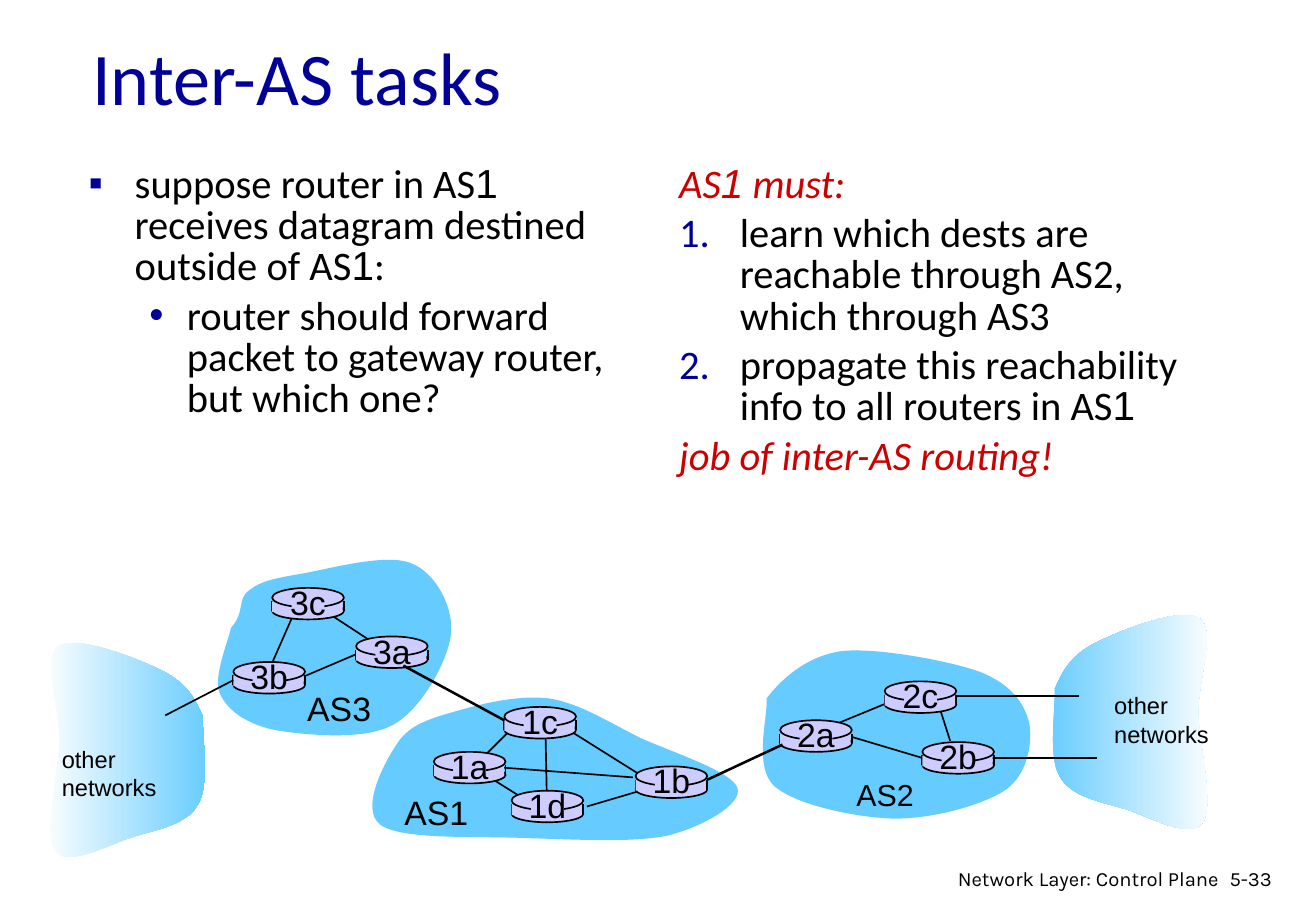
"""Build a slide on inter-AS routing tasks, with a diagram of three autonomous systems."""
import lxml.etree
import pptx
import pptx.dml.color
import pptx.enum.shapes
import pptx.enum.text
import pptx.oxml.ns
import pptx.util

Inches = pptx.util.Inches
RGBColor = pptx.dml.color.RGBColor
MSO_SHAPE = pptx.enum.shapes.MSO_SHAPE
PP_ALIGN = pptx.enum.text.PP_ALIGN
qn = pptx.oxml.ns.qn

NAVY = RGBColor(0x00, 0x00, 0x99)
RED = RGBColor(0xCC, 0x00, 0x00)
BLACK = RGBColor(0x00, 0x00, 0x00)
WHITE = RGBColor(0xFF, 0xFF, 0xFF)
SKY = RGBColor(0x66, 0xCC, 0xFF)
LAVENDER = RGBColor(0xCC, 0xCC, 0xFF)

AS1_OUTLINE = [
    (3.27, 6.12), (3.37, 5.96), (3.56, 5.91), (3.77, 5.85), (3.98, 5.79), (4.27, 5.72), (4.52, 5.75),
    (4.77, 5.79), (5, 5.94), (5.26, 6.07), (5.52, 6.19), (6.03, 6.35), (6.07, 6.49),
    (6.11, 6.62), (5.78, 6.81), (5.49, 6.88), (5.2, 6.94), (4.72, 6.91), (4.33, 6.9),
    (3.94, 6.88), (3.31, 6.92), (3.13, 6.79), (2.96, 6.66), (3.16, 6.28), (3.27, 6.12)]
AS2_OUTLINE = [
    (6.31, 5.75), (6.43, 5.59), (6.64, 5.4), (6.93, 5.36), (7.22, 5.33), (7.81, 5.44), (8.06, 5.53),
    (8.32, 5.63), (8.43, 5.79), (8.47, 5.95), (8.5, 6.11), (8.46, 6.37), (8.28, 6.5),
    (8.09, 6.63), (7.68, 6.74), (7.36, 6.74), (7.04, 6.73), (6.55, 6.63), (6.37, 6.47),
    (6.2, 6.31), (6.32, 5.9), (6.31, 5.75)]
AS3_OUTLINE = [
    (1.9, 5.17), (2.02, 5.04), (1.95, 4.93), (2.05, 4.86), (2.15, 4.78), (2.27, 4.76), (2.5, 4.72),
    (2.72, 4.68), (3.19, 4.55), (3.39, 4.64), (3.59, 4.72), (3.74, 5.01), (3.71, 5.23),
    (3.68, 5.45), (3.47, 5.84), (3.23, 5.97), (2.99, 6.1), (2.5, 6.05), (2.26, 6.01),
    (2.03, 5.96), (1.87, 5.85), (1.81, 5.71), (1.75, 5.57), (1.88, 5.28), (1.9, 5.17)]
RIGHT_OUTLINE = [
    (8.68, 5.67), (8.75, 5.51), (8.82, 5.39), (9.02, 5.29), (9.22, 5.19), (9.73, 4.99), (9.87, 5.09),
    (10.01, 5.18), (9.86, 5.59), (9.86, 5.87), (9.87, 6.16), (10, 6.65), (9.89, 6.78),
    (9.79, 6.91), (9.45, 6.72), (9.26, 6.66), (9.06, 6.6), (8.81, 6.56), (8.72, 6.39),
    (8.62, 6.23), (8.69, 5.82), (8.68, 5.67)]
LEFT_OUTLINE = [(10.35 - x, y + 0.23) for x, y in RIGHT_OUTLINE]

ROUTERS = {
    "3b": (1.92, 5.45), "3c": (2.24, 4.84), "3a": (2.93, 5.24),
    "1c": (4.15, 5.82), "1a": (3.57, 6.19), "1d": (4.21, 6.51), "1b": (5.23, 6.31),
    "2a": (6.42, 5.93), "2c": (7.28, 5.61), "2b": (7.59, 6.11)}
INNER_LINKS = [
    (2.5, 5.57, 2.97, 5.37, 1), (3.04, 5.27, 2.75, 5.08, 1), (2.41, 5.07, 2.23, 5.48, 1),
    (4.19, 6.02, 4.01, 6.2, 1), (4.49, 6.06, 4.5, 6.56, 1), (4.68, 6.01, 5.27, 6.38, 1),
    (5.27, 6.51, 4.83, 6.64, 1), (5.21, 6.4, 4.14, 6.32, 1), (4.03, 6.4, 4.27, 6.55, 1),
    (6.81, 5.99, 7.32, 5.78, 1), (7.02, 6.07, 7.59, 6.24, 1), (7.74, 5.85, 7.82, 6.1, 1),
    (7.86, 5.73, 8.88, 5.73, 0.75), (8.16, 6.24, 9.03, 6.24, 0.75)]
OUTER_LINKS = [
    (1.92, 5.6, 1.36, 5.89, 1), (5.82, 6.42, 6.44, 6.13, 1.5), (3.32, 5.48, 4.15, 5.93, 1.5)]


def add_runs(paragraph, runs, size, font, color, italic=False):
    """Add (text, font) pairs or plain strings to a paragraph, run by run."""
    for item in runs:
        text, name = item if isinstance(item, tuple) else (item, font)
        run = paragraph.add_run()
        run.text = text
        run.font.name = name
        run.font.size = pptx.util.Pt(size)
        run.font.color.rgb = color
        run.font.italic = italic


def add_text(parent, box, lines, size, font="Arial", color=BLACK, align=PP_ALIGN.LEFT, wrap=False):
    """Place a text box with one paragraph per line and return its frame."""
    frame = parent.shapes.add_textbox(*map(Inches, box)).text_frame
    frame.word_wrap = wrap
    for index, line in enumerate(lines):
        paragraph = frame.paragraphs[0] if index == 0 else frame.add_paragraph()
        paragraph.alignment = align
        add_runs(paragraph, [line], size, font, color)
    return frame


def add_column(slide, box, items):
    """Place a column of (runs, level, indent, hanging, bullet, emphasis) paragraphs."""
    frame = add_text(slide, box, [], 24, wrap=True)
    for index, (runs, level, indent, hanging, bullet, emphasis) in enumerate(items):
        paragraph = frame.paragraphs[0] if index == 0 else frame.add_paragraph()
        paragraph.level = level
        paragraph.line_spacing = 0.85
        paragraph.space_before = pptx.util.Pt(4.8)
        add_runs(paragraph, runs, 24, "Calibri", RED if emphasis else BLACK, emphasis)
        properties = paragraph._p.get_or_add_pPr()
        properties.set("marL", str(Inches(indent)))
        properties.set("indent", str(Inches(-hanging)))
        if bullet:
            color = lxml.etree.SubElement(properties, qn("a:buClr"))
            lxml.etree.SubElement(color, qn("a:srgbClr"), val=str(NAVY))
        if bullet == "number":
            lxml.etree.SubElement(properties, qn("a:buAutoNum"), type="arabicPeriod")
        elif bullet:
            lxml.etree.SubElement(properties, qn("a:buFont"), typeface="Arial")
            lxml.etree.SubElement(properties, qn("a:buChar"), char=bullet)
        else:
            lxml.etree.SubElement(properties, qn("a:buNone"))


def add_cloud(slide, outline, gradient=None):
    """Draw a closed outline of cubic curves, filled plain or with a gradient."""
    points = [(Inches(x), Inches(y)) for x, y in outline]
    builder = slide.shapes.build_freeform(*points[0])
    builder.add_line_segments(points[1:], close=True)
    shape = builder.convert_to_shape()
    segments = list(shape._element.iter(qn("a:lnTo")))
    for first in range(0, len(segments), 3):
        curve = lxml.etree.Element(qn("a:cubicBezTo"))
        segments[first].addprevious(curve)
        for segment in segments[first:first + 3]:
            curve.append(segment[0])
            segment.getparent().remove(segment)
    shape.shadow.inherit = False
    shape.line.fill.background()
    if gradient:
        shape.fill.gradient()
        shape.fill.gradient_angle = 0
        for stop, color, position in zip(shape.fill.gradient_stops, gradient, (0, 1)):
            stop.color.rgb = color
            stop.position = position
    else:
        shape.fill.solid()
        shape.fill.fore_color.rgb = SKY


def add_link(parent, x1, y1, x2, y2, width):
    """Draw a straight black line."""
    line = parent.shapes.add_connector(pptx.enum.shapes.MSO_CONNECTOR.STRAIGHT,
                                       *map(Inches, (x1, y1, x2, y2)))
    line.line.color.rgb = BLACK
    line.line.width = pptx.util.Pt(width)
    lxml.etree.SubElement(line._element.spPr, qn("a:effectLst"))


def add_part(parent, kind, box, outlined):
    """Draw one lavender piece of a router."""
    shape = parent.shapes.add_shape(kind, *map(Inches, box))
    shape.shadow.inherit = False
    shape.fill.solid()
    shape.fill.fore_color.rgb = LAVENDER
    if outlined:
        shape.line.color.rgb = BLACK
        shape.line.width = pptx.util.Pt(1)
    else:
        shape.line.fill.background()


def add_router(slide, name, x, y):
    """Draw a grouped, labelled router disc with its top left corner at x, y."""
    router = slide.shapes.add_group_shape()
    add_part(router, MSO_SHAPE.OVAL, (x, y + 0.12, 0.59, 0.14), True)
    for side in (x, x + 0.59):
        add_link(router, side, y + 0.11, side, y + 0.19, 1)
    add_part(router, MSO_SHAPE.RECTANGLE, (x, y + 0.11, 0.58, 0.09), False)
    add_part(router, MSO_SHAPE.OVAL, (x, y, 0.59, 0.16), True)
    add_part(router, MSO_SHAPE.RECTANGLE, (x + 0.16, y + 0.02, 0.27, 0.2), False)
    add_text(router, (x + 0.04, y - 0.1, 0.51, 0.44), [name], 20, align=PP_ALIGN.CENTER)


def add_network(slide):
    """Draw the clouds, links, routers and their labels."""
    add_cloud(slide, RIGHT_OUTLINE, (SKY, WHITE))
    add_cloud(slide, LEFT_OUTLINE, (WHITE, SKY))
    for outline in (AS2_OUTLINE, AS3_OUTLINE, AS1_OUTLINE):
        add_cloud(slide, outline)
    for link in INNER_LINKS:
        add_link(slide, *link)
    for name, corner in ROUTERS.items():
        add_router(slide, name, *corner)
    for link in OUTER_LINKS:
        add_link(slide, *link)
    add_text(slide, (2.43, 5.61, 0.73, 0.44), ["AS3"], 20)
    add_text(slide, (3.23, 6.47, 0.73, 0.44), ["AS1"], 20)
    add_text(slide, (6.95, 6.34, 0.68, 0.4), ["AS2"], 18)
    for x, y in ((9.07, 5.64), (0.41, 6.08)):
        add_text(slide, (x, y, 0.99, 0.57), ["other", "networks"], 14)


def main():
    """Build and save the slide."""
    presentation = pptx.Presentation()
    presentation.slide_width, presentation.slide_height = Inches(10.83), Inches(7.5)
    slide = presentation.slides.add_slide(presentation.slide_layouts[6])
    title = add_text(slide, (0.66, 0, 9.21, 1.25), ["Inter-AS tasks"], 44, "Calibri", NAVY, wrap=True)
    title.vertical_anchor = pptx.enum.text.MSO_ANCHOR.MIDDLE
    one = ("1", "Arial")
    add_column(slide, (0.63, 1.31, 4.51, 3.19), [
        (["suppose router in AS", one, " receives datagram destined outside of AS", one, ":"],
         0, 0.38, 0.38, "▪", False),
        (["router should forward packet to gateway router, but which one?"], 1, 0.81, 0.31, "•", False)])
    add_column(slide, (5.49, 1.31, 4.51, 5.08), [
        (["AS", one, " must:"], 0, 0.5, 0.5, None, True),
        (["learn which dests are reachable through AS2, which through AS3"], 0, 0.5, 0.5, "number", False),
        (["propagate this reachability info to all routers in AS", one], 0, 0.5, 0.5, "number", False),
        (["job of inter-AS routing!"], 0, 0.5, 0.5, None, True)])
    add_network(slide)
    add_text(slide, (10.02, 7.08, 0.65, 0.3), ["5-33"], 12, "Karla", wrap=True)
    add_text(slide, (7.55, 7.08, 2.58, 0.26), ["Network Layer: Control Plane"], 12, "Karla",
             align=PP_ALIGN.RIGHT, wrap=True)
    presentation.save("out.pptx")


if __name__ == "__main__":
    main()
